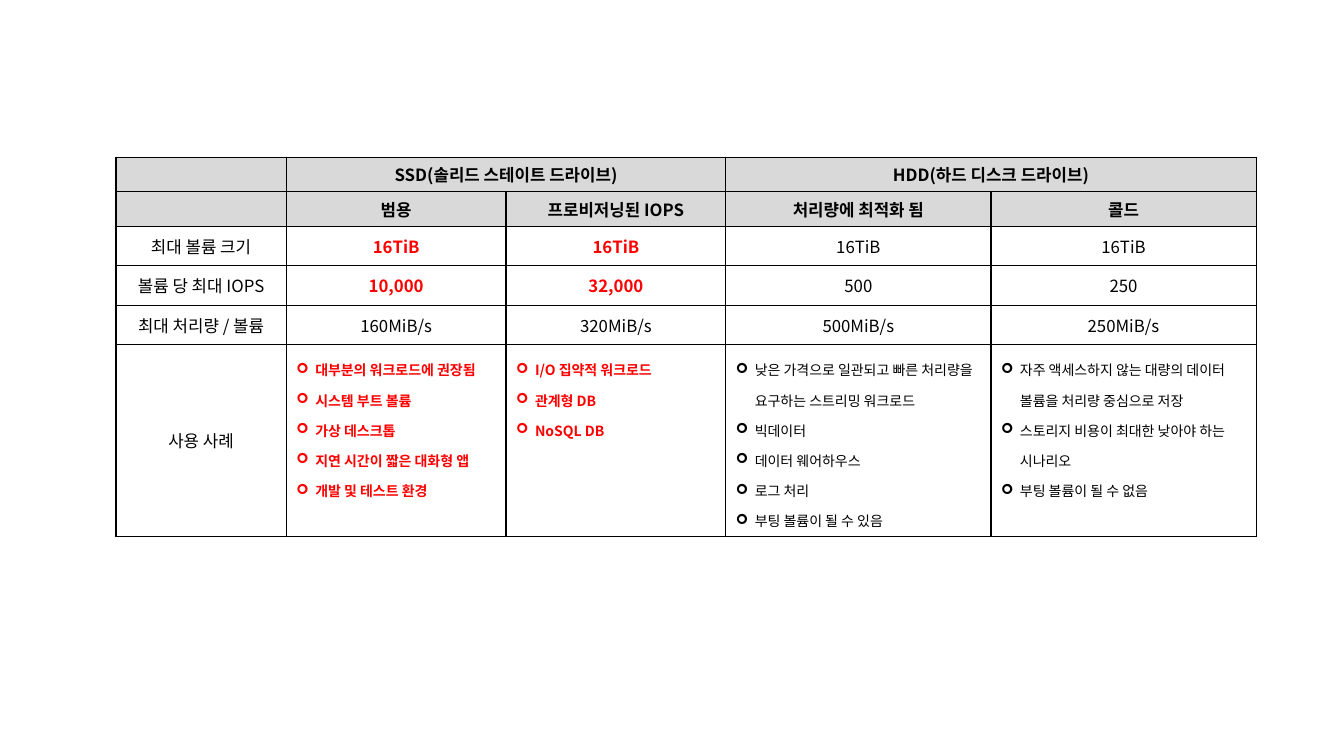
"""Build a slide with a table comparing SSD and HDD volume types."""
from lxml.etree import SubElement
from pptx import Presentation
from pptx.dml.color import RGBColor
from pptx.enum.text import MSO_ANCHOR, PP_ALIGN
from pptx.oxml.ns import qn
from pptx.util import Pt

BLACK = RGBColor(0x00, 0x00, 0x00)
RED = RGBColor(0xFF, 0x00, 0x00)
GRAY = RGBColor(0xD9, 0xD9, 0xD9)
FONT = "Noto Sans CJK KR"
BULLET = "➢"
INDENT = Pt(13.5)

HEADINGS = [
    ["", "SSD(솔리드 스테이트 드라이브)", "", "HDD(하드 디스크 드라이브)", ""],
    ["", "범용", "프로비저닝된 IOPS", "처리량에 최적화 됨", "콜드"],
]
LIMITS = [
    ["최대 볼륨 크기", "16TiB", "16TiB", "16TiB", "16TiB"],
    ["볼륨 당 최대 IOPS", "10,000", "32,000", "500", "250"],
    ["최대 처리량 / 볼륨", "160MiB/s", "320MiB/s", "500MiB/s", "250MiB/s"],
]
USE_CASES = [
    "사용 사례",
    ["대부분의 워크로드에 권장됨", "시스템 부트 볼륨", "가상 데스크톱",
     "지연 시간이 짧은 대화형 앱", "개발 및 테스트 환경"],
    ["I/O 집약적 워크로드", "관계형 DB", "NoSQL DB"],
    ["낮은 가격으로 일관되고 빠른 처리량을 요구하는 스트리밍 워크로드",
     "빅데이터", "데이터 웨어하우스", "로그 처리", "부팅 볼륨이 될 수 있음"],
    ["자주 액세스하지 않는 대량의 데이터 볼륨을 처리량 중심으로 저장",
     "스토리지 비용이 최대한 낮아야 하는 시나리오", "부팅 볼륨이 될 수 없음"],
]
ROWS = [*HEADINGS, *LIMITS, USE_CASES]
GROUP_STARTS = (1, 3)
SSD_COLUMNS = (1, 2)
RED_ROWS = (2, 3, 5)
COLUMN_WIDTHS = [121.7, 157, 157, 189.4, 189.4]
ROW_HEIGHTS = [24.5, 24.5, 28.2, 28.2, 28.2, 125.3]
LEFT, TOP = 82.8, 112.3


def add_borders(cell):
    properties = cell._tc.get_or_add_tcPr()
    for position, side in enumerate(("lnL", "lnR", "lnT", "lnB")):
        line = properties.makeelement(qn(f"a:{side}"), {"w": str(Pt(1))})
        fill = SubElement(line, qn("a:solidFill"))
        SubElement(fill, qn("a:srgbClr"), val=str(BLACK))
        properties.insert(position, line)


def add_bullet(paragraph):
    properties = paragraph._p.get_or_add_pPr()
    properties.set("marL", str(INDENT))
    properties.set("indent", str(-INDENT))
    paragraph.line_spacing = 1.5
    SubElement(properties, qn("a:buFont"), typeface="Wingdings")
    SubElement(properties, qn("a:buChar"), char=BULLET)


def style_font(paragraph, size, color, bold):
    font = paragraph.font
    font.size, font.bold, font.name = Pt(size), bold, FONT
    font.color.rgb = color
    SubElement(font._element, qn("a:ea"), typeface=FONT)
    if not paragraph.text:
        SubElement(paragraph._p, qn("a:endParaRPr"), sz=str(size * 100))


def fill_cell(cell, content, heading, red):
    if heading:
        cell.fill.solid()
        cell.fill.fore_color.rgb = GRAY
    else:
        cell.fill.background()
    add_borders(cell)
    is_list = isinstance(content, list)
    cell.text = "\n".join(content) if is_list else content
    cell.vertical_anchor = MSO_ANCHOR.TOP if is_list else MSO_ANCHOR.MIDDLE
    for paragraph in cell.text_frame.paragraphs:
        if is_list:
            add_bullet(paragraph)
        else:
            paragraph.alignment = PP_ALIGN.CENTER
        style_font(paragraph, 10 if is_list else 12,
                   RED if red else BLACK, heading or red)


def main():
    presentation = Presentation()
    presentation.slide_width, presentation.slide_height = Pt(960), Pt(540)
    slide = presentation.slides.add_slide(presentation.slide_layouts[6])
    volumes = slide.shapes.add_table(
        len(ROWS), len(COLUMN_WIDTHS), Pt(LEFT), Pt(TOP),
        Pt(sum(COLUMN_WIDTHS)), Pt(sum(ROW_HEIGHTS))).table
    volumes.first_row = volumes.horz_banding = False
    for column, width in zip(volumes.columns, COLUMN_WIDTHS):
        column.width = Pt(width)
    for row, height in zip(volumes.rows, ROW_HEIGHTS):
        row.height = Pt(height)
    for r, contents in enumerate(ROWS):
        for c, content in enumerate(contents):
            red = r in RED_ROWS and c in SSD_COLUMNS
            fill_cell(volumes.cell(r, c), content, r < len(HEADINGS), red)
    for start in GROUP_STARTS:
        volumes.cell(0, start).merge(volumes.cell(0, start + 1))
    presentation.save("out.pptx")


if __name__ == "__main__":
    main()
